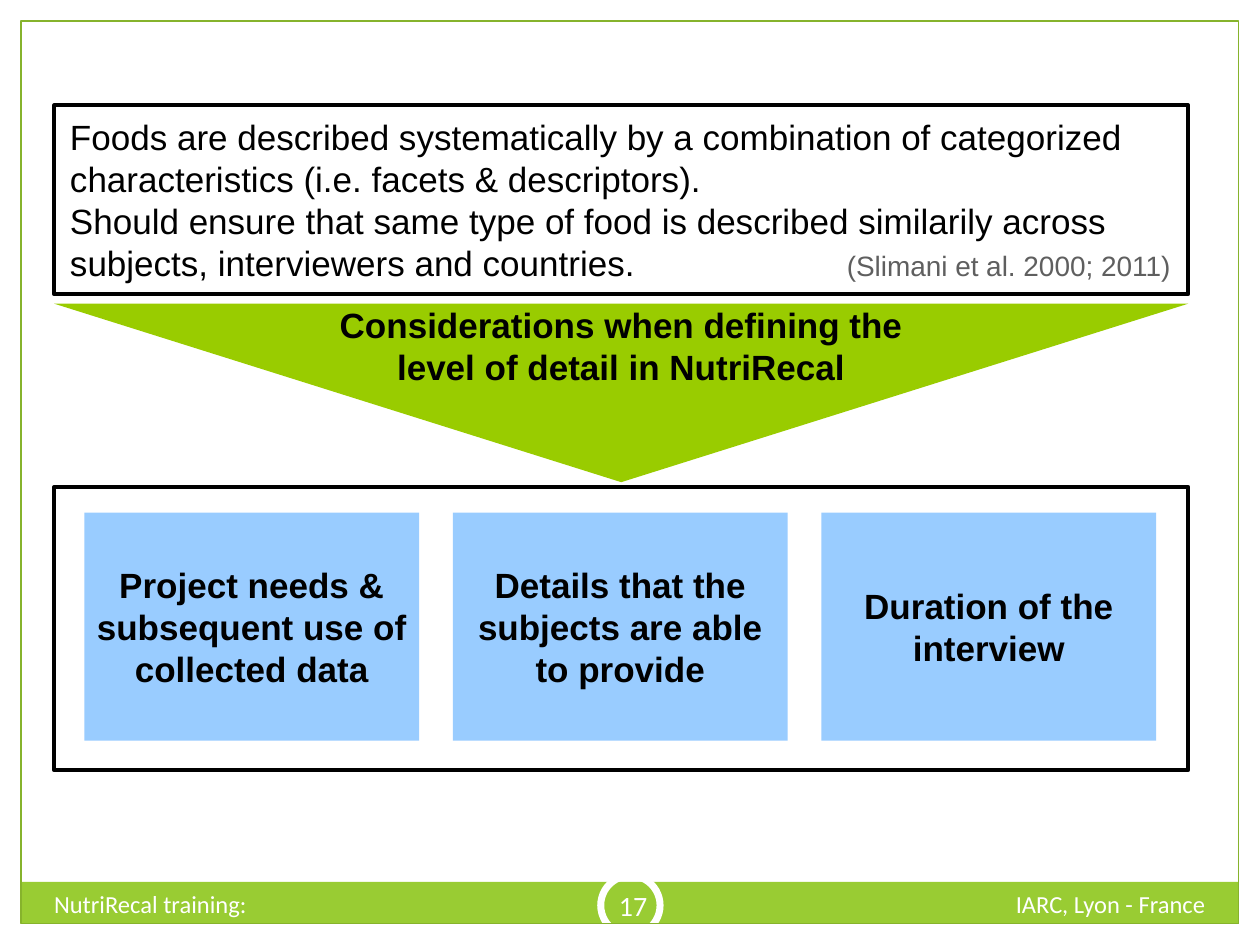
from dataclasses import dataclass
from typing import Optional

from lxml.etree import SubElement
from pptx import Presentation
from pptx.dml.color import RGBColor as Color
from pptx.enum.shapes import MSO_SHAPE as Preset
from pptx.enum.text import MSO_ANCHOR as Anchor, PP_ALIGN as Align
from pptx.oxml.ns import qn
from pptx.util import Pt


@dataclass(frozen=True)
class Theme:
    white: str = "FFFFFF"
    black: str = "000000"
    grey: str = "5F5F5F"
    footer_green: str = "99CC33"
    frame_green: str = "86B32C"
    arrow_green: str = "99CC00"
    blue: str = "99CCFF"
    body_font: str = "Arial"
    footer_font: str = "Calibri"
    body: float = 20
    small: float = 16
    footer: float = 14


@dataclass(frozen=True)
class Area:
    left: float
    top: float
    width: float
    height: float

    def lengths(self) -> list:
        return [Pt(v) for v in (self.left, self.top, self.width, self.height)]


@dataclass(frozen=True)
class Footer:
    text: str
    area: Area
    align: Align
    anchor: Anchor
    size: float
    inset: float


THEME = Theme()
PAGE = Area(0, 0, 720, 540)
MARGIN = 12.1
BAR_TOP = 504
LEFT, WIDTH = 31, 648
INSET = 9
CARD_LEFT, CARD_STEP = 48.2, 210.6

MARGINS = [
    Area(0, PAGE.height - MARGIN, PAGE.width, MARGIN),
    Area(0, 0, PAGE.width, MARGIN),
    Area(PAGE.width - MARGIN, 0, MARGIN, PAGE.height),
    Area(0, 0, MARGIN, PAGE.height),
]
FOOTERS = [
    Footer("IARC, Lyon - France", Area(455.8, 504.7, 240, 28.8),
           Align.RIGHT, Anchor.TOP, THEME.footer, 7.2),
    Footer("NutriRecal training:", Area(23.8, 504.7, 282, 28.8),
           Align.LEFT, Anchor.TOP, THEME.footer, 7.2),
    Footer("17", Area(337.7, 500, 48.2, 34.6),
           Align.CENTER, Anchor.MIDDLE, THEME.small, 3.6),
]
CARDS = [
    ["Project needs & subsequent use of collected data"],
    ["Details that the subjects are able", "to provide"],
    ["Duration of the interview"],
]


def add_box(page, area: Area, preset=Preset.RECTANGLE,
            fill: Optional[str] = None, line: Optional[str] = None,
            weight: float = 2.25):
    box = page.shapes.add_shape(preset, *area.lengths())
    box.shadow.inherit = False
    if fill:
        box.fill.solid()
        box.fill.fore_color.rgb = Color.from_string(fill)
    else:
        box.fill.background()
    if line:
        box.line.color.rgb = Color.from_string(line)
        box.line.width = Pt(weight)
    else:
        box.line.fill.background()
    return box


def set_frame(box, anchor=Anchor.MIDDLE, side: float = 0, edge: float = 0):
    frame = box.text_frame
    frame.word_wrap = True
    frame.vertical_anchor = anchor
    frame.margin_left = frame.margin_right = Pt(side)
    frame.margin_top = frame.margin_bottom = Pt(edge)
    return frame


def add_span(para, text: str, *, size: float = THEME.body,
             color: str = THEME.black, font: str = THEME.body_font,
             bold: bool = False) -> None:
    span = para.add_run()
    span.text = text
    span.font.size = Pt(size)
    span.font.name = font
    span.font.bold = bold
    span.font.color.rgb = Color.from_string(color)


def write(frame, texts: list, *, align=Align.CENTER, **style):
    for index, text in enumerate(texts):
        para = frame.add_paragraph() if index else frame.paragraphs[0]
        para.alignment = align
        add_span(para, text, **style)
    return para


def add_right_tab(para, position: float) -> None:
    tabs = SubElement(para._p.get_or_add_pPr(), qn("a:tabLst"))
    SubElement(tabs, qn("a:tab"), pos=str(Pt(position)), algn="r")


def add_background(page) -> None:
    add_box(page, Area(11.5, BAR_TOP, 697, 24.5), fill=THEME.footer_green)
    for area in MARGINS:
        add_box(page, area, fill=THEME.white)
    add_box(page, Area(343.3, 500.4, 33.9, 33.9), Preset.OVAL,
            line=THEME.white, weight=4)
    add_box(page, Area(MARGIN, MARGIN, PAGE.width - 2 * MARGIN,
                       PAGE.height - 2 * MARGIN),
            line=THEME.frame_green, weight=0.75)
    for footer in FOOTERS:
        box = page.shapes.add_textbox(*footer.area.lengths())
        frame = set_frame(box, footer.anchor, footer.inset, 3.6)
        write(frame, [footer.text], align=footer.align, size=footer.size,
              color=THEME.white, font=THEME.footer_font)


def add_statement(page) -> None:
    box = add_box(page, Area(LEFT, 60.2, WIDTH, 108), line=THEME.black)
    para = write(set_frame(box, side=INSET), [
        "Foods are described systematically by a combination of categorized "
        "characteristics (i.e. facets & descriptors).",
        "Should ensure that same type of food is described similarily across "
        "subjects, interviewers and countries.",
    ], align=Align.LEFT)
    add_right_tab(para, WIDTH - 2 * INSET - 1)
    add_span(para, "\t(Slimani et al. 2000; 2011)",
             size=THEME.small, color=THEME.grey)


def add_arrow(page) -> None:
    arrow = add_box(page, Area(LEFT, 173.6, WIDTH, 102),
                    Preset.ISOSCELES_TRIANGLE, fill=THEME.arrow_green)
    arrow._element.spPr.find(qn("a:xfrm")).set("flipV", "1")
    frame = set_frame(arrow, Anchor.TOP)
    frame._txBody.find(qn("a:bodyPr")).set("rot", "10800000")
    write(frame,
          ["Considerations when defining the level of detail in NutriRecal"],
          bold=True)


def add_cards(page) -> None:
    add_box(page, Area(LEFT, 278.2, WIDTH, 162), line=THEME.black)
    for index, texts in enumerate(CARDS):
        area = Area(CARD_LEFT + index * CARD_STEP, 293, 191.3, 130.2)
        card = add_box(page, area, fill=THEME.blue)
        write(set_frame(card), texts, bold=True)


def main() -> None:
    deck = Presentation()
    deck.slide_width, deck.slide_height = Pt(PAGE.width), Pt(PAGE.height)
    page = deck.slides.add_slide(deck.slide_layouts[6])
    add_background(page)
    add_statement(page)
    add_arrow(page)
    add_cards(page)
    deck.save("out.pptx")


if __name__ == "__main__":
    main()
